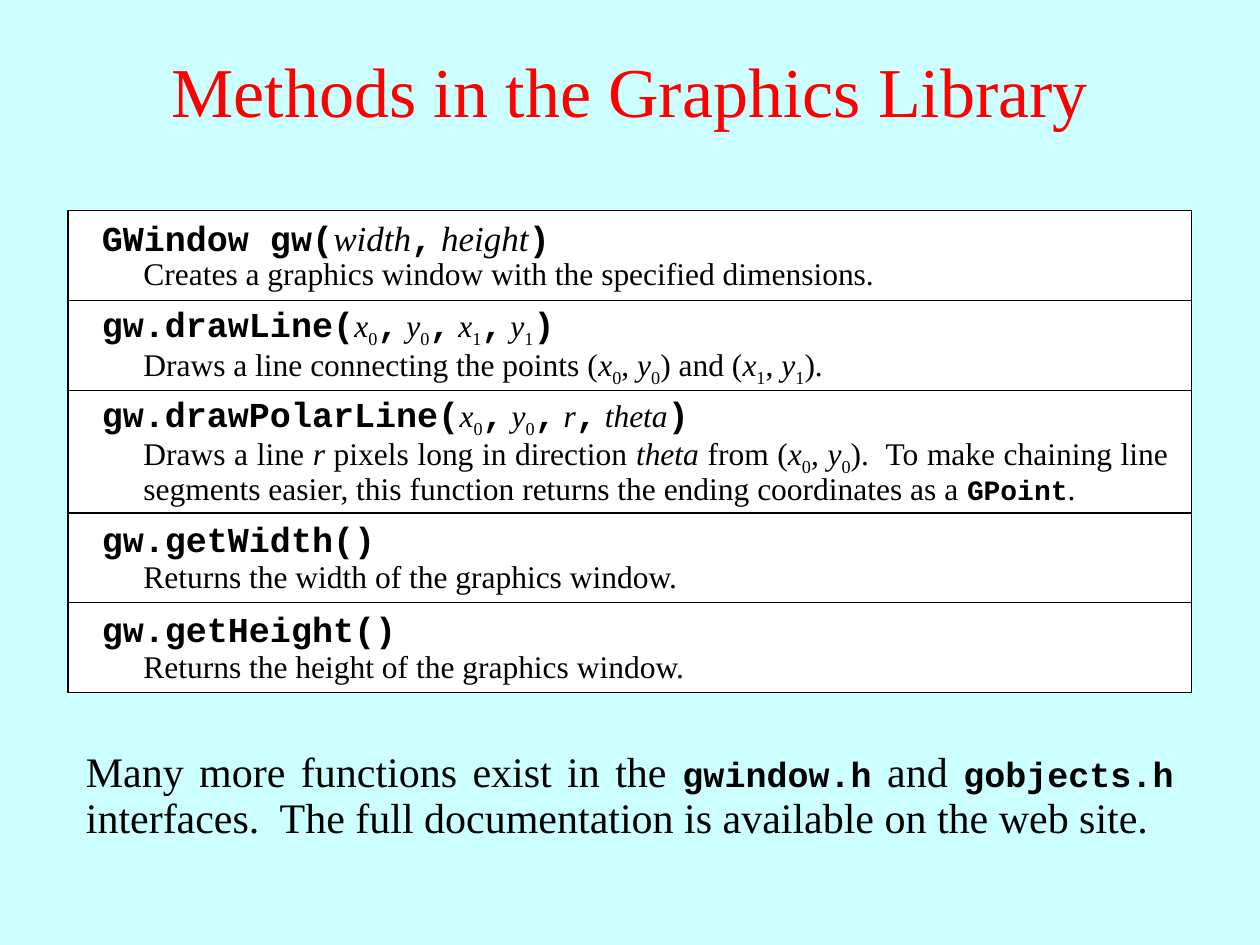
from pptx import Presentation
from pptx.dml.color import RGBColor
from pptx.enum import shapes, text
from pptx.util import Pt

COLORS = {"sky": "CCFFFF", "heading": "FF0000", "ink": "000000", "panel": "FFFFFF"}
SERIF, MONO = "Times New Roman", "Courier New"


class MethodSlide:
    run_styles = {
        "title": (SERIF, 40, False, False),
        "code": (MONO, 20, True, False),
        "type": (MONO, 16, True, False),
        "wide": (SERIF, 20, False, True),
        "arg": (SERIF, 18, False, True),
        "sub": (SERIF, 18, False, False),
        "plain": (SERIF, 18, False, False),
        "large": (SERIF, 24, False, False),
    }

    def __init__(self, deck):
        self.slide = deck.slides.add_slide(deck.slide_layouts[6])
        fill = self.slide.background.fill
        fill.solid()
        fill.fore_color.rgb = self.color("sky")

    def color(self, name):
        return RGBColor.from_string(COLORS[name])

    def panel(self, group, left, top, width, height):
        panel = group.shapes.add_shape(
            shapes.MSO_SHAPE.RECTANGLE, Pt(left), Pt(top), Pt(width), Pt(height))
        panel.shadow.inherit = False
        panel.fill.solid()
        panel.fill.fore_color.rgb = self.color("panel")
        panel.line.color.rgb = self.color("ink")
        panel.line.width = Pt(0.75)

    def text(self, parent, left, top, width, height, runs, color="ink",
             align=text.PP_ALIGN.LEFT, spacing=None, anchor=text.MSO_ANCHOR.TOP):
        frame = parent.shapes.add_textbox(
            Pt(left), Pt(top), Pt(width), Pt(height)).text_frame
        frame.word_wrap = True
        frame.vertical_anchor = anchor
        paragraph = frame.paragraphs[0]
        paragraph.alignment = align
        if spacing:
            paragraph.line_spacing = spacing
        for style, words in runs:
            run = paragraph.add_run()
            run.text = words
            font = run.font
            name, size, font.bold, font.italic = self.run_styles[style]
            font.name, font.size = name, Pt(size)
            font.color.rgb = self.color(color)
            if style == "sub":
                font._element.set("baseline", "-25000")

    def method(self, top, height, signature_shift, signature, description):
        group = self.slide.shapes.add_group_shape()
        self.panel(group, 38.9, top, 642.2, height)
        self.text(group, 51.1, top + signature_shift, 617.8, 31, signature)
        justified = height > 60
        self.text(group, 74.9, top + 21.7, 599.8, 46.8 if justified else 28.8, description,
                  align=text.PP_ALIGN.JUSTIFY if justified else text.PP_ALIGN.LEFT,
                  spacing=0.9 if justified else None)


def point(index, comma_style, lead=""):
    return [("arg", lead + "x"), ("sub", index),
            *([("code", ","), ("arg", " y")] if comma_style == "code"
              else [("plain", ", "), ("arg", "y")]),
            ("sub", index)]


METHODS = [
    (51.5, 0,
     [("code", "GWindow gw("), ("wide", "width"), ("code", ","), ("wide", " height"),
      ("code", ")")],
     [("plain", "Creates a graphics window with the specified dimensions.")]),
    (51.5, -2.2,
     [("code", "gw.drawLine("), *point("0", "code"), ("code", ","),
      *point("1", "code", " "), ("code", ")")],
     [("plain", "Draws a line connecting the points ("), *point("0", "plain"),
      ("plain", ") and ("), *point("1", "plain"), ("plain", ").")]),
    (70, -2.2,
     [("code", "gw.drawPolarLine("), *point("0", "code"), ("code", ","), ("arg", " r"),
      ("code", ","), ("arg", " theta"), ("code", ")")],
     [("plain", "Draws a line "), ("arg", "r"), ("plain", " pixels long in direction "),
      ("arg", "theta"), ("plain", " from ("), *point("0", "plain"),
      ("plain", ").  To make chaining line segments easier, this function returns "
                "the ending coordinates as a "),
      ("type", "GPoint"), ("plain", ".")]),
    (51.2, -1,
     [("code", "gw.getWidth()")],
     [("plain", "Returns the width of the graphics window.")]),
    (51.5, -1,
     [("code", "gw.getHeight()")],
     [("plain", "Returns the height of the graphics window.")]),
]


def main():
    deck = Presentation()
    deck.slide_width, deck.slide_height = Pt(720), Pt(540)
    page = MethodSlide(deck)
    page.text(page.slide, 0, 6, 720, 90, [("title", "Methods in the Graphics Library")],
              color="heading", align=text.PP_ALIGN.CENTER, anchor=text.MSO_ANCHOR.MIDDLE)
    top = 120.2
    for height, shift, signature, description in METHODS:
        page.method(top, height, shift, signature, description)
        top += height
    page.text(page.slide, 42, 426, 635.8, 60,
              [("large", "Many more functions exist in the "), ("code", "gwindow.h"),
               ("large", " and "), ("code", "gobjects.h"),
               ("large", " interfaces.  The full documentation is available on the web site.")],
              align=text.PP_ALIGN.JUSTIFY, spacing=0.9)
    deck.save("out.pptx")


if __name__ == "__main__":
    main()
